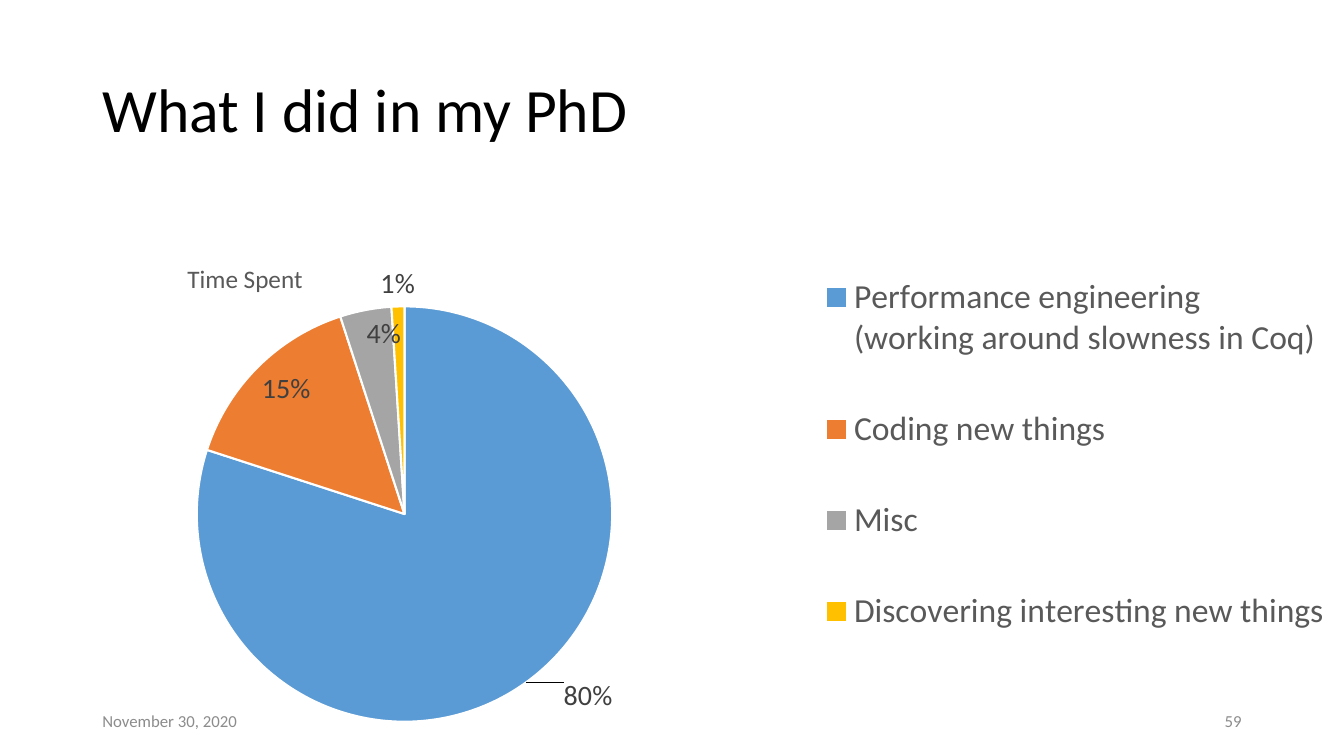
import pptx
import pptx.util
import pptx.dml.color
import pptx.chart.data
import pptx.enum.chart
import pptx.enum.text
import pptx.oxml
import pptx.oxml.ns

FONT = "Calibri"
SHARES = [
    ("Performance engineering\n(working around slowness in Coq)", 80, "5B9BD5"),
    ("Coding new things", 15, "ED7D31"),
    ("Misc", 4, "A5A5A5"),
    ("Discovering interesting new things", 1, "FFC000"),
]


def px(count):
    return pptx.util.Emu(count * 9525)


def color(hex_code):
    return pptx.dml.color.RGBColor.from_string(hex_code)


def style(font, size, hex_code):
    font.name = FONT
    font.size = pptx.util.Pt(size)
    font.bold = False
    font.color.rgb = color(hex_code)


def add_text(slide, box, text, size, hex_code, align="LEFT"):
    frame = slide.shapes.add_textbox(*map(px, box)).text_frame
    frame.word_wrap = True
    frame.vertical_anchor = pptx.enum.text.MSO_ANCHOR.MIDDLE
    frame.text = text
    line = frame.paragraphs[0]
    line.alignment = getattr(pptx.enum.text.PP_ALIGN, align)
    line.line_spacing = 0.9 if size > 40 else 1.0
    style(line.runs[0].font, size, hex_code)


def set_layout(parent, index, inner=False, edge=True, **parts):
    """Place a chart part by fractions of the chart area."""
    for old in parent.findall(pptx.oxml.ns.qn("c:layout")):
        parent.remove(old)
    tags = '<c:layoutTarget val="inner"/>' if inner else ""
    if edge:
        tags += '<c:xMode val="edge"/><c:yMode val="edge"/>'
    tags += "".join(f'<c:{key} val="{val}"/>' for key, val in parts.items())
    parent.insert(index, pptx.oxml.parse_xml(
        f'<c:layout {pptx.oxml.ns.nsdecls("c")}>'
        f"<c:manualLayout>{tags}</c:manualLayout></c:layout>"))


def add_labels(series):
    labels = series.data_labels
    labels.show_percentage = True
    labels.show_value = False
    style(labels.font, 20, "404040")
    place = pptx.enum.chart.XL_LABEL_POSITION
    spots = [place.OUTSIDE_END, place.INSIDE_END,
             place.INSIDE_END, place.OUTSIDE_END]
    for index, spot in enumerate(spots):
        label = series.points[index].data_label
        label.position = spot
        style(label.font, 20, "404040")
    tags = series._element.xpath("c:dLbls/c:dLbl")
    for tag in tags:
        tag.find(pptx.oxml.ns.qn("c:showVal")).set("val", "0")
        tag.find(pptx.oxml.ns.qn("c:showPercent")).set("val", "1")
    # Pull the largest label away so that its leader line shows
    set_layout(tags[0], 1, edge=False, x=0.025, y=-0.016)


def add_pie(slide, box):
    data = pptx.chart.data.CategoryChartData()
    data.categories = [name for name, _, _ in SHARES]
    data.add_series("Series 1", [share for _, share, _ in SHARES])
    kind = pptx.enum.chart.XL_CHART_TYPE.PIE
    chart = slide.shapes.add_chart(kind, *map(px, box), data).chart
    style(chart.font, 10, "000000")

    # Slices
    plot = chart.plots[0]
    plot.vary_by_categories = True
    series = plot.series[0]
    for index, (_, _, fill) in enumerate(SHARES):
        look = series.points[index].format
        look.fill.solid()
        look.fill.fore_color.rgb = color(fill)
        look.line.color.rgb = color("FFFFFF")
        look.line.width = pptx.util.Pt(1.5)
    add_labels(series)
    area = chart._chartSpace.xpath("c:chart/c:plotArea")[0]
    set_layout(area, 0, inner=True, x=0.146, y=0.21, w=0.31, h=0.73)

    # Title
    chart.has_title = True
    title = chart.chart_title
    title.text_frame.text = "Time Spent"
    style(title.text_frame.paragraphs[0].runs[0].font, 18, "595959")
    set_layout(title._element, 1, x=0.136, y=0.122)

    # Legend
    chart.has_legend = True
    legend = chart.legend
    legend.position = pptx.enum.chart.XL_LEGEND_POSITION.RIGHT
    legend.include_in_layout = False
    style(legend.font, 24, "595959")
    set_layout(legend._element, 1, x=0.6, y=0.07, w=0.4, h=0.8)


def add_footer(slide, box):
    left, top, width, height = box
    part = 288
    add_text(slide, (left + width - part, top, part, height),
             "59", 12, "8C8C8C", "RIGHT")
    add_text(slide, (left, top, part, height),
             "November 30, 2020", 12, "8C8C8C")


def main():
    deck = pptx.Presentation()
    deck.slide_width, deck.slide_height = px(1280), px(720)
    slide = deck.slides.add_slide(deck.slide_layouts[6])
    add_text(slide, (88, 38, 1104, 139), "What I did in my PhD", 44, "000000")
    add_pie(slide, (0, 178, 1280, 542))
    add_footer(slide, (88, 667, 1104, 38))
    deck.save("out.pptx")


if __name__ == "__main__":
    main()
